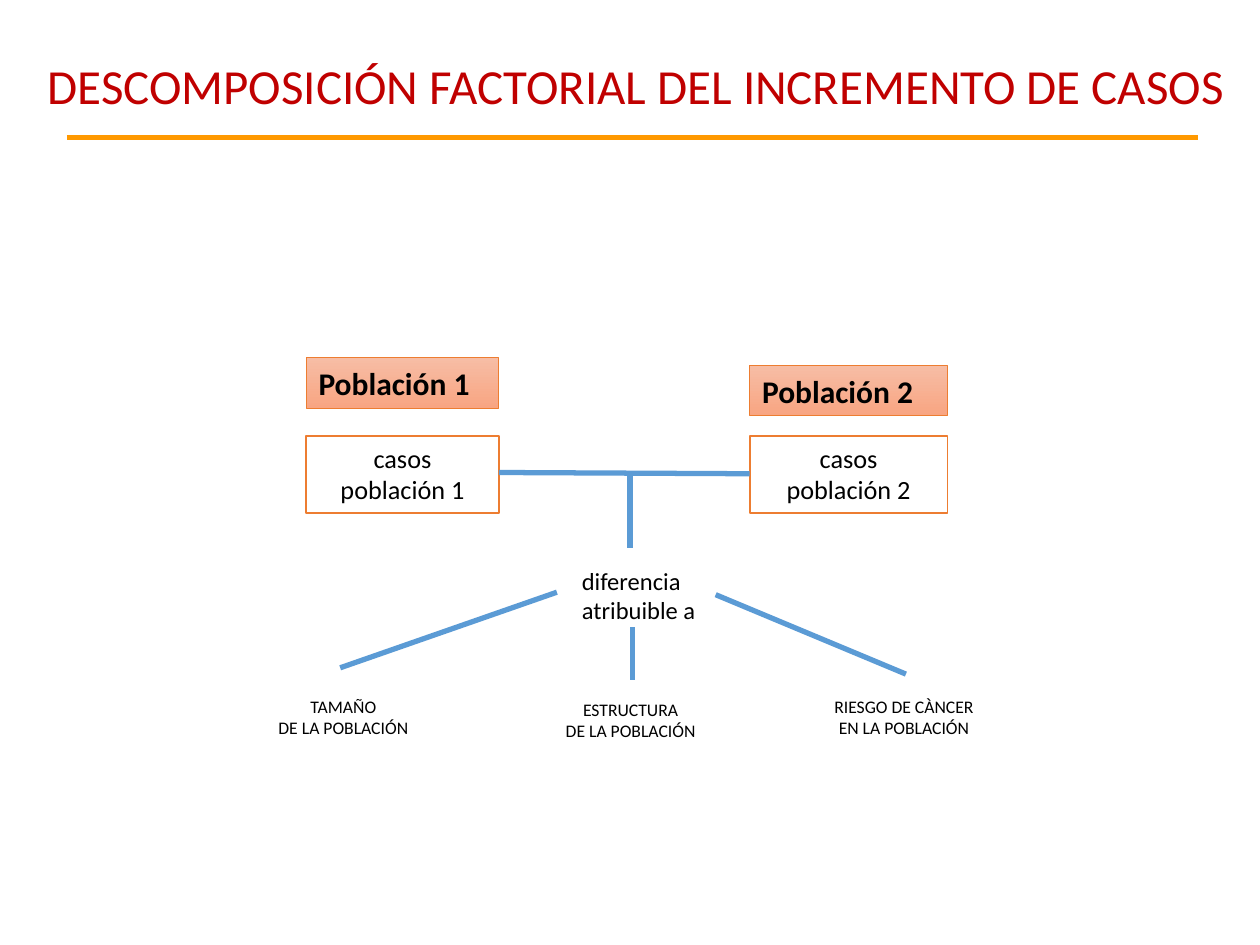
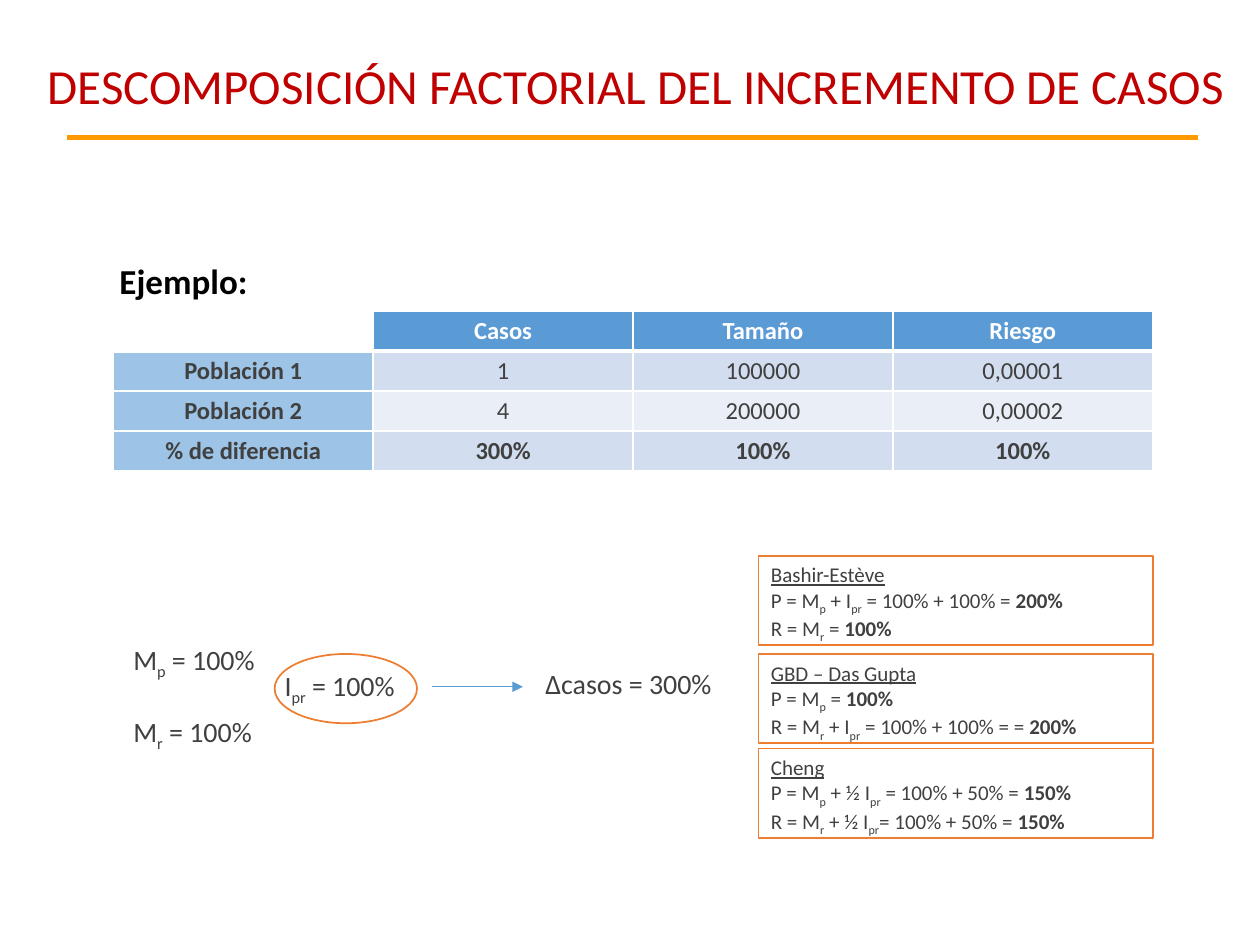
from dataclasses import dataclass
from lxml import etree
from pptx import Presentation
from pptx.dml.color import RGBColor
from pptx.enum.shapes import MSO_CONNECTOR, MSO_SHAPE
from pptx.enum.text import MSO_ANCHOR, MSO_AUTO_SIZE, PP_ALIGN
from pptx.oxml.ns import qn
from pptx.util import Inches, Pt

LINE = MSO_CONNECTOR.STRAIGHT
RECT, OVAL = MSO_SHAPE.RECTANGLE, MSO_SHAPE.OVAL
TOP, MIDDLE = MSO_ANCHOR.TOP, MSO_ANCHOR.MIDDLE
LEFT, CENTER = PP_ALIGN.LEFT, PP_ALIGN.CENTER
GROW, FIXED = MSO_AUTO_SIZE.SHAPE_TO_FIT_TEXT, MSO_AUTO_SIZE.NONE


@dataclass(frozen=True)
class Theme:
    font: str = "Calibri"
    red: str = "C00000"
    rule: str = "FF9900"
    blue: str = "5B9BD5"
    side: str = "9DC3E6"
    band: str = "D2DEEF"
    pale: str = "EAEFF7"
    orange: str = "ED7D31"
    peach: str = "F7BDA5"
    coral: str = "F8A582"
    white: str = "FFFFFF"
    black: str = "000000"
    gray: str = "404040"
    title: float = 28
    lead: float = 20
    head: float = 18
    math: float = 16
    case: float = 15
    body: float = 14
    note: float = 12
    tiny: float = 10.1


T = Theme()


# Shared helpers
def rgb(code):
    return RGBColor.from_string(code)


def write(frame, lines, size, color, align=LEFT, bold=False):
    """Fill a frame; '|' splits runs, marked _ sub, * bold, ~ underlined."""
    for i, line in enumerate(lines):
        para = frame.paragraphs[0] if i == 0 else frame.add_paragraph()
        para.alignment = align
        for part in line.split("|"):
            mark = part[0] if part[0] in "_*~" else ""
            run = para.add_run()
            run.text = part[len(mark):]
            font = run.font
            font.name, font.size = T.font, Pt(size)
            font.color.rgb = rgb(color)
            font.bold = bold or mark == "*"
            font.underline = mark == "~"
            if mark == "_":
                run._r.get_or_add_rPr().set("baseline", "-25000")


def label(slide, x, y, w, h, lines, size, color=T.black, align=LEFT,
          bold=False, anchor=TOP, wrap=True):
    box = slide.shapes.add_textbox(Inches(x), Inches(y), Inches(w), Inches(h))
    frame = box.text_frame
    frame.word_wrap, frame.vertical_anchor = wrap, anchor
    frame.auto_size = FIXED if wrap else GROW
    write(frame, lines, size, color, align, bold)
    return box


def panel(slide, x, y, w, h, lines=(), size=T.note, color=T.black,
          align=LEFT, bold=False, kind=RECT, width=1):
    shape = slide.shapes.add_shape(kind, Inches(x), Inches(y),
                                   Inches(w), Inches(h))
    shape.shadow.inherit = False
    shape.fill.solid()
    shape.fill.fore_color.rgb = rgb(T.white)
    shape.line.color.rgb = rgb(T.orange)
    shape.line.width = Pt(width)
    shape.text_frame.vertical_anchor = TOP
    write(shape.text_frame, lines, size, color, align, bold)
    return shape


def link(slide, x1, y1, x2, y2, color=T.blue, width=3, arrow=False):
    line = slide.shapes.add_connector(LINE, Inches(x1), Inches(y1),
                                      Inches(x2), Inches(y2))
    line.line.color.rgb = rgb(color)
    line.line.width = Pt(width)
    if arrow:
        etree.SubElement(line.line._get_or_add_ln(), qn("a:tailEnd"),
                         type="triangle")
    etree.SubElement(line._element.spPr, qn("a:effectLst"))


def header(slide):
    link(slide, 0.53, 1.09, 9.51, 1.09, T.rule)
    label(slide, 0.09, 0.28, 9.91, 0.79,
          ["DESCOMPOSICIÓN FACTORIAL DEL INCREMENTO DE CASOS"],
          T.title, T.red, CENTER, anchor=MIDDLE)


# Slide 1: tree of causes
def group(slide, x, y, w, num, drop):
    """One population: a tinted heading above its box of cases."""
    head = panel(slide, x, y + drop, w, 0.4, [f"Población {num}"], T.head,
                 bold=True, width=0.5)
    head.fill.gradient()
    head.fill.gradient_angle = 270
    for stop, tint in zip(head.fill.gradient_stops, (T.peach, T.coral)):
        stop.color.rgb = rgb(tint)
    panel(slide, x, y + 0.62, w, 0.61, ["casos", f"población {num}"],
          T.case, align=CENTER)


def tree(slide, x, y):
    group(slide, x + 0.33, y, 1.53, 1, 0)
    group(slide, x + 3.85, y, 1.57, 2, 0.06)
    label(slide, x + 2.42, y + 1.6, 1.16, 0.57,
          ["diferencia atribuible a"], T.body)
    # Three factors
    factors = [(0, 2.63, 1.25, "TAMAÑO", "DE LA POBLACIÓN"),
               (2.28, 2.66, 1.25, "ESTRUCTURA", "DE LA POBLACIÓN"),
               (4.41, 2.63, 1.33, "RIESGO DE CÀNCER", "EN LA POBLACIÓN")]
    for dx, dy, w, *lines in factors:
        label(slide, x + dx, y + dy, w, 0.44, lines, T.tiny,
              align=CENTER, wrap=False)
    # Branches
    for x1, y1, x2, y2 in [(1.86, 0.91, 3.85, 0.92), (2.9, 0.91, 2.9, 1.51),
                           (0.6, 2.46, 2.32, 1.86), (2.92, 2.14, 2.92, 2.56),
                           (3.58, 1.88, 5.09, 2.51)]:
        link(slide, x + x1, y + y1, x + x2, y + y2)


# Slide 2: worked example
def border(cell, bottom):
    props = cell._tc.get_or_add_tcPr()
    for i, side in enumerate(("lnL", "lnR", "lnT", "lnB")):
        width = bottom if side == "lnB" else 1
        edge = etree.Element(qn(f"a:{side}"), w=str(Pt(width)))
        fill = etree.SubElement(edge, qn("a:solidFill"))
        etree.SubElement(fill, qn("a:srgbClr"), val=T.white)
        props.insert(i, edge)


def grid(slide, x, y, w, h):
    rows = [("", "Casos", "Tamaño", "Riesgo"),
            ("Población 1", "1", "100000", "0,00001"),
            ("Población 2", "4", "200000", "0,00002"),
            ("% de diferencia", "300%", "100%", "100%")]
    table = slide.shapes.add_table(4, 4, Inches(x), Inches(y),
                                   Inches(w), Inches(h)).table
    for r, row in enumerate(rows):
        for c, text in enumerate(row):
            cell = table.cell(r, c)
            cell.margin_left = cell.margin_right = Inches(0.07)
            cell.margin_top = cell.margin_bottom = Inches(0.04)
            if r == 0:
                tint = T.blue if c else T.white
            elif c == 0:
                tint = T.side
            else:
                tint = T.pale if r == 2 else T.band
            cell.fill.solid()
            cell.fill.fore_color.rgb = rgb(tint)
            border(cell, 1 if r else 3)
            if text:
                write(cell.text_frame, [text], T.body,
                      T.gray if r else T.white, CENTER,
                      r in (0, 3) or c == 0)
            else:
                etree.SubElement(cell.text_frame.paragraphs[0]._p,
                                 qn("a:endParaRPr"), sz=str(T.body * 100))


def effects(slide, x, y):
    """Main effects, their interaction and the resulting change."""
    mains = label(slide, x, y, 1.19, 0.91,
                  ["M|_p| = 100%", "M|_r| = 100%"], T.math, T.gray, wrap=False)
    mains.text_frame.paragraphs[1].space_before = Pt(19.5)
    label(slide, x + 1.2, y + 0.21, 1.11, 0.37, ["I|_pr| = 100%"],
          T.math, T.gray, wrap=False)
    link(slide, x + 2.47, y + 0.4, x + 3.19, y + 0.4, width=0.5, arrow=True)
    label(slide, x + 3.27, y + 0.19, 1.54, 0.37, ["Δcasos = 300%"],
          T.math, T.gray, wrap=False)
    ring = panel(slide, x + 1.22, y + 0.14, 1.13, 0.55, kind=OVAL)
    ring.fill.background()


def methods(slide, x, y, w):
    cards = [("~Bashir-Estève",
              "P = M|_p| + I|_pr| = 100% + 100% = |*200%",
              "R = M|_r| = |*100%"),
             ("~GBD – Das Gupta",
              "P = M|_p| = |*100%",
              "R = M|_r| + I|_pr| = 100% + 100% = = |*200%"),
             ("~Cheng",
              "P = M|_p| + ½ I|_pr| = 100% + 50% = |*150%",
              "R = M|_r| + ½ I|_pr|= 100% + 50% = |*150%")]
    for dy, lines in zip((0, 0.78, 1.53), cards):
        panel(slide, x, y + dy, w, 0.71, lines, T.note, T.gray)


def sample(slide, x, y):
    lead = label(slide, x - 0.05, y, 1.47, 0.45, ["Ejemplo:"], T.lead,
                 bold=True, anchor=MIDDLE)
    lead.text_frame.paragraphs[0].line_spacing = 0.9
    grid(slide, x, y + 0.45, 8.25, 1.23)
    effects(slide, x + 0.06, y + 3.03)
    methods(slide, x + 5.12, y + 2.39, 3.13)


deck = Presentation()
deck.slide_width, deck.slide_height = Inches(10), Inches(7.5)
for draw, x, y in ((tree, 2.1, 2.84), (sample, 0.9, 2.02)):
    page = deck.slides.add_slide(deck.slide_layouts[6])
    draw(page, x, y)
    header(page)
deck.save("out.pptx")
